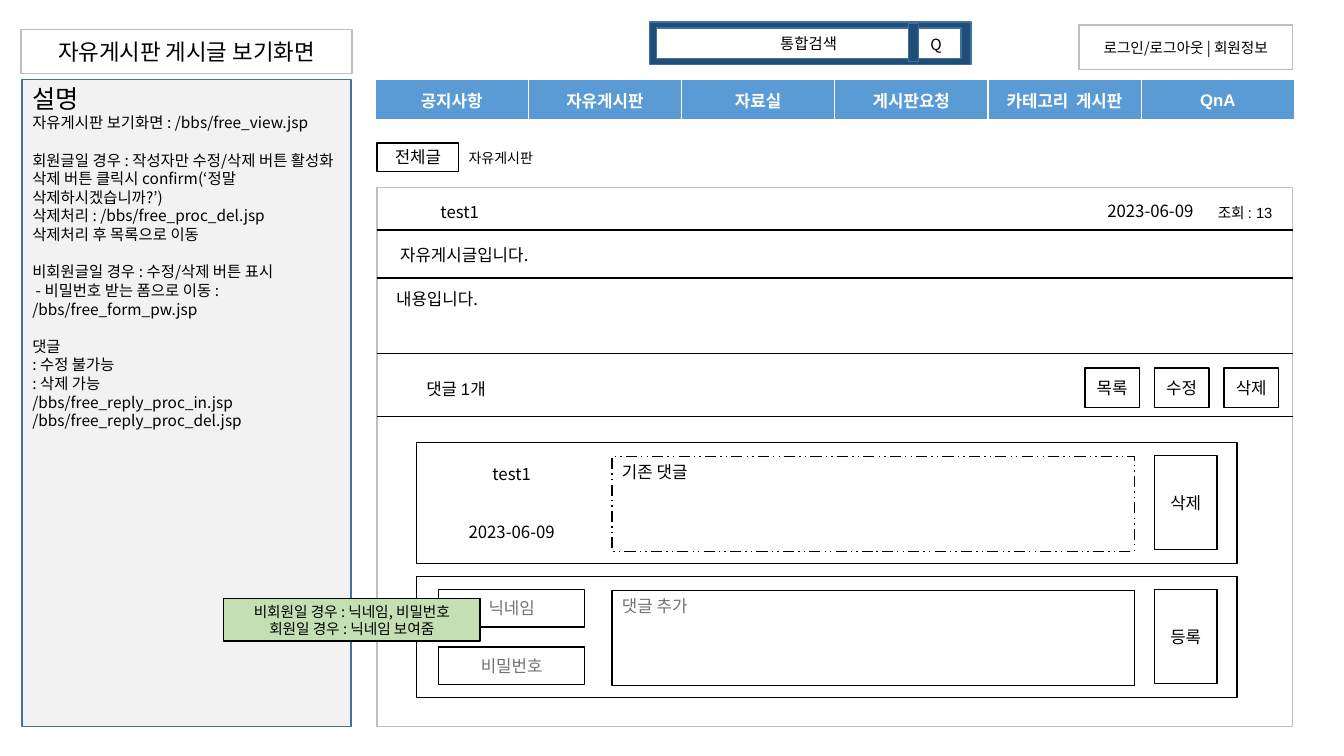
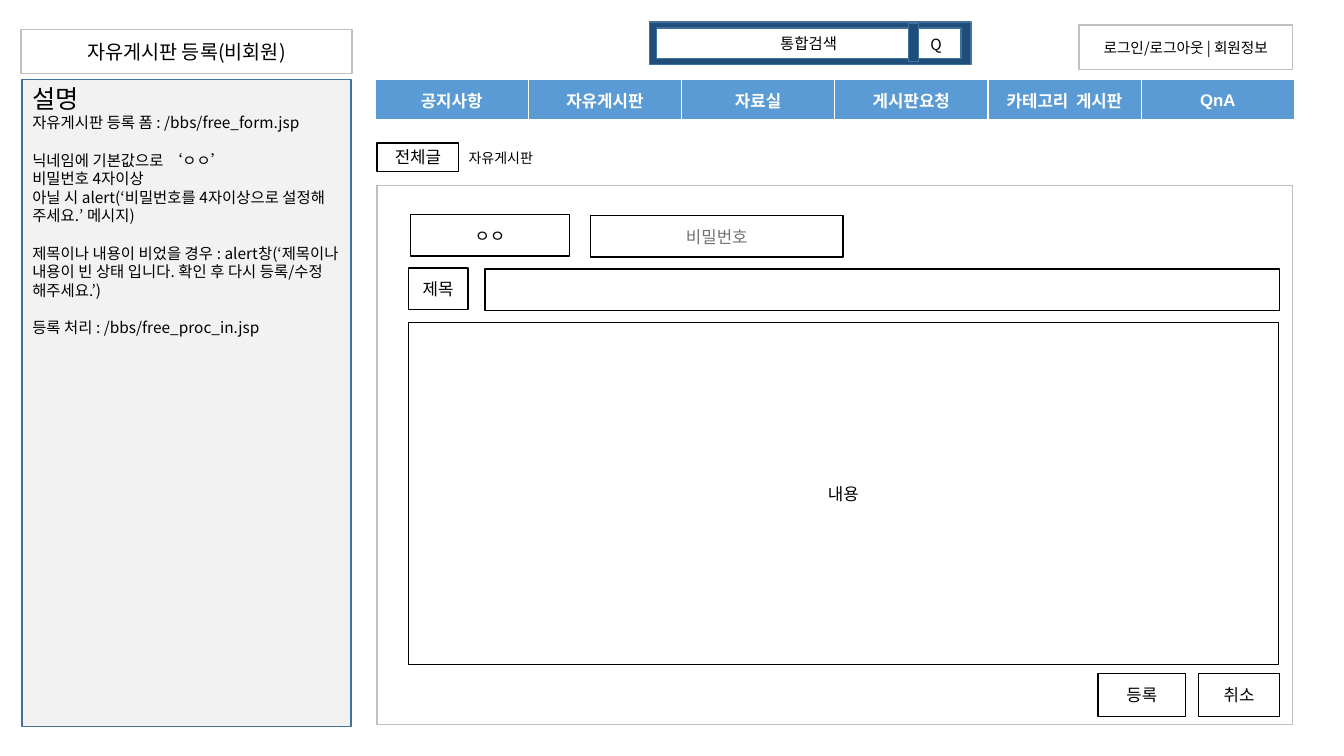
"""Builds two wireframe slides of a free board: the post view and the post form."""
from lxml import etree
from pptx import Presentation
from pptx.dml.color import RGBColor
from pptx.enum import dml, shapes, text
from pptx.oxml import ns
from pptx.util import Pt

PX = 9144
BLACK = RGBColor(0x00, 0x00, 0x00)
WHITE = RGBColor(0xFF, 0xFF, 0xFF)
GRAY = RGBColor(0x76, 0x71, 0x71)
SILVER = RGBColor(0xBF, 0xBF, 0xBF)
PALE = RGBColor(0xF2, 0xF2, 0xF2)
NAVY = RGBColor(0x1E, 0x4E, 0x79)
STEEL = RGBColor(0x42, 0x71, 0x9B)
BLUE = RGBColor(0x5B, 0x9B, 0xD5)
GREEN = RGBColor(0xC4, 0xE0, 0xB2)
KOREAN, LATIN = "Noto Sans CJK KR", "Arial"
LEFT, MID = text.PP_ALIGN.LEFT, text.PP_ALIGN.CENTER
TOP, CENTER = text.MSO_ANCHOR.TOP, text.MSO_ANCHOR.MIDDLE

MENU = ["공지사항", "자유게시판", "자료실", "게시판요청", "카테고리  게시판", "QnA"]
PAGES = [
    ("자유게시판 게시글 보기화면", 16, 186, [
        ["설명", "자유게시판 보기화면 : /bbs/free_view.jsp"],
        ["회원글일 경우 : 작성자만 수정/삭제 버튼 활성화",
         "삭제 버튼 클릭시 confirm(‘정말 삭제하시겠습니까?’)",
         "삭제처리 : /bbs/free_proc_del.jsp", "삭제처리 후 목록으로 이동"],
        ["비회원글일 경우 : 수정/삭제 버튼 표시",
         " - 비밀번호 받는 폼으로 이동 : /bbs/free_form_pw.jsp"],
        ["댓글", ": 수정 불가능", ": 삭제 가능",
         "/bbs/free_reply_proc_in.jsp", "/bbs/free_reply_proc_del.jsp"]]),
    ("자유게시판 등록(비회원)", 14, 184, [
        ["설명", "자유게시판 등록 폼 : /bbs/free_form.jsp"],
        ["닉네임에 기본값으로 ‘ㅇㅇ’", "비밀번호 4자이상",
         "아닐 시 alert(‘비밀번호를 4자이상으로 설정해 주세요.’ 메시지)"],
        ["제목이나 내용이 비었을 경우 : alert창(‘제목이나 내용이 빈 상태 입니다. "
         "확인 후 다시 등록/수정 해주세요.’)"],
        ["등록 처리 : /bbs/free_proc_in.jsp"]]),
]


def style(frame, size, color=BLACK, align=MID, font=KOREAN, bold=False):
    for para in frame.paragraphs:
        para.alignment = align
        for run in para.runs:
            run.font.size, run.font.bold, run.font.name = Pt(size), bold, font
            run.font.color.rgb = color
            etree.SubElement(run.font._element, ns.qn("a:ea"), typeface=KOREAN)


def box(slide, area, words="", size=12, line=BLACK, fill=WHITE, color=BLACK,
        align=MID, anchor=CENTER, font=KOREAN):
    rect = slide.shapes.add_shape(shapes.MSO_SHAPE.RECTANGLE, *[n * PX for n in area])
    rect.shadow.inherit = False
    if fill is None:
        rect.fill.background()
    else:
        rect.fill.solid()
        rect.fill.fore_color.rgb = fill
    if line is None:
        rect.line.fill.background()
    else:
        rect.line.color.rgb, rect.line.width = line, Pt(1)
    frame = rect.text_frame
    frame.word_wrap, frame.vertical_anchor = True, anchor
    if words:
        frame.text = words
        style(frame, size, color, align, font)
    return rect


deck = Presentation()
deck.slide_width, deck.slide_height = 1333 * PX, 750 * PX

for name, size, top, notes in PAGES:
    slide = deck.slides.add_slide(deck.slide_layouts[1])
    title, body = slide.placeholders
    for item, area, fill, line, anchor in [
            (title, (21, 29, 328, 44), WHITE, SILVER, CENTER),
            (body, (22, 79, 326, 642), PALE, STEEL, TOP)]:
        item.left, item.top, item.width, item.height = [n * PX for n in area]
        item.fill.solid()
        item.fill.fore_color.rgb = fill
        item.line.color.rgb, item.line.width = line, Pt(1)
        item.text_frame.vertical_anchor = anchor
        item.text_frame.auto_size = text.MSO_AUTO_SIZE.NONE
    title.text_frame.text = name
    style(title.text_frame, size)

    frame = body.text_frame
    frame.text = "\n".join(line for group in notes for line in group)
    style(frame, 11, align=LEFT)
    heads = [group[0] for group in notes[1:]]
    for para in frame.paragraphs:
        para.line_spacing = Pt(13.3)
        para.space_before = Pt(13.3 if para.text in heads else 0)
        props = para._p.get_or_add_pPr()
        props.set("marL", "0")
        props.set("indent", "0")
        etree.SubElement(props, ns.qn("a:buNone"))
    first = frame.paragraphs[0]
    first.line_spacing, first.runs[0].font.size = Pt(20.5), Pt(18)

    box(slide, (1070, 25, 212, 44), "로그인/로그아웃 | 회원정보", 10.5, SILVER)
    box(slide, (644, 22, 319, 42), line=STEEL, fill=NAVY)
    box(slide, (651, 28, 302, 30), "통합검색", 11, STEEL)
    box(slide, (901, 23, 10, 38), line=STEEL, fill=NAVY)
    box(slide, (904, 24, 49, 40), "Q", 11, None, None)

    holder = slide.shapes.add_table(1, len(MENU), 372 * PX, 79 * PX, 912 * PX, 41 * PX)
    for cell, label in zip(holder.table.iter_cells(), MENU):
        cell.text_frame.text = label
        style(cell.text_frame, 12, WHITE, font=LATIN, bold=True)
        cell.vertical_anchor = CENTER
        props = cell._tc.get_or_add_tcPr()
        for side, width in [("L", 1), ("R", 1), ("T", 1), ("B", 3)]:
            edge = etree.SubElement(props, ns.qn("a:ln" + side), w=str(Pt(width)))
            paint = etree.SubElement(edge, ns.qn("a:solidFill"))
            etree.SubElement(paint, ns.qn("a:srgbClr"), val=str(WHITE))
        cell.fill.solid()
        cell.fill.fore_color.rgb = BLUE

    box(slide, (374, 142, 81, 28), "전체글")
    box(slide, (455, 143, 114, 27), "자유게시판", 10, None, None, align=LEFT)
    box(slide, (374, top, 908, 535), line=SILVER)

view, form = deck.slides

for area, words, align, anchor in [
        ((377, 193, 158, 35), "test1", MID, CENTER),
        ((1016, 193, 250, 32), "2023-06-09", MID, CENTER),
        ((387, 236, 857, 33), "자유게시글입니다.", LEFT, CENTER),
        ((383, 282, 858, 56), "내용입니다.", LEFT, TOP)]:
    box(view, area, words, line=None, fill=None, align=align, anchor=anchor)
box(view, (1198, 197, 90, 28), "조회 : 13", 10.5, None, None, align=LEFT, font=LATIN)
box(view, (413, 371, 166, 30), "댓글 1개", 12, None, None, align=LEFT, font=LATIN)
for col, label in enumerate(["목록", "수정", "삭제"]):
    box(view, (1076 + 69 * col, 365, 54, 39), label)

for y, width in [(228, 1), (276, 1), (351, 1), (413, 0.75)]:
    rule = view.shapes.add_connector(
        shapes.MSO_CONNECTOR.STRAIGHT, 374 * PX, y * PX, 1282 * PX, y * PX)
    rule.line.color.rgb, rule.line.width = BLACK, Pt(width)
    etree.SubElement(rule._element.spPr, ns.qn("a:effectLst"))

for y, fields, reply, label, edge, color in [
        (439, ["test1", "2023-06-09"], "기존 댓글", "삭제", None, BLACK),
        (572, ["닉네임", "비밀번호"], "댓글 추가", "등록", BLACK, GRAY)]:
    box(view, (413, y, 814, 120))
    for row, words in enumerate(fields):
        box(view, (435, y + 13 + 57 * row, 145, 37), words, line=edge, color=color)
    area = box(view, (607, y + 14, 518, 94), reply, color=color, align=LEFT, anchor=TOP)
    if edge is None:
        area.line.dash_style = dml.MSO_LINE.DASH_DOT_DOT
    box(view, (1145, y + 13, 62, 93), label)
box(view, (222, 594, 254, 42),
    "비회원일 경우 : 닉네임, 비밀번호\n회원일 경우 : 닉네임 보여줌", 10.5, fill=GREEN)

for area, words, color in [
        ((407, 213, 158, 41), "ㅇㅇ", BLACK),
        ((586, 214, 250, 41), "비밀번호", GRAY),
        ((405, 266, 59, 41), "제목", BLACK),
        ((481, 267, 788, 41), "", BLACK),
        ((405, 320, 863, 339), "내용", BLACK),
        ((1089, 668, 87, 43), "등록", BLACK),
        ((1189, 668, 80, 43), "취소", BLACK)]:
    box(form, area, words, color=color)

deck.save("out.pptx")
